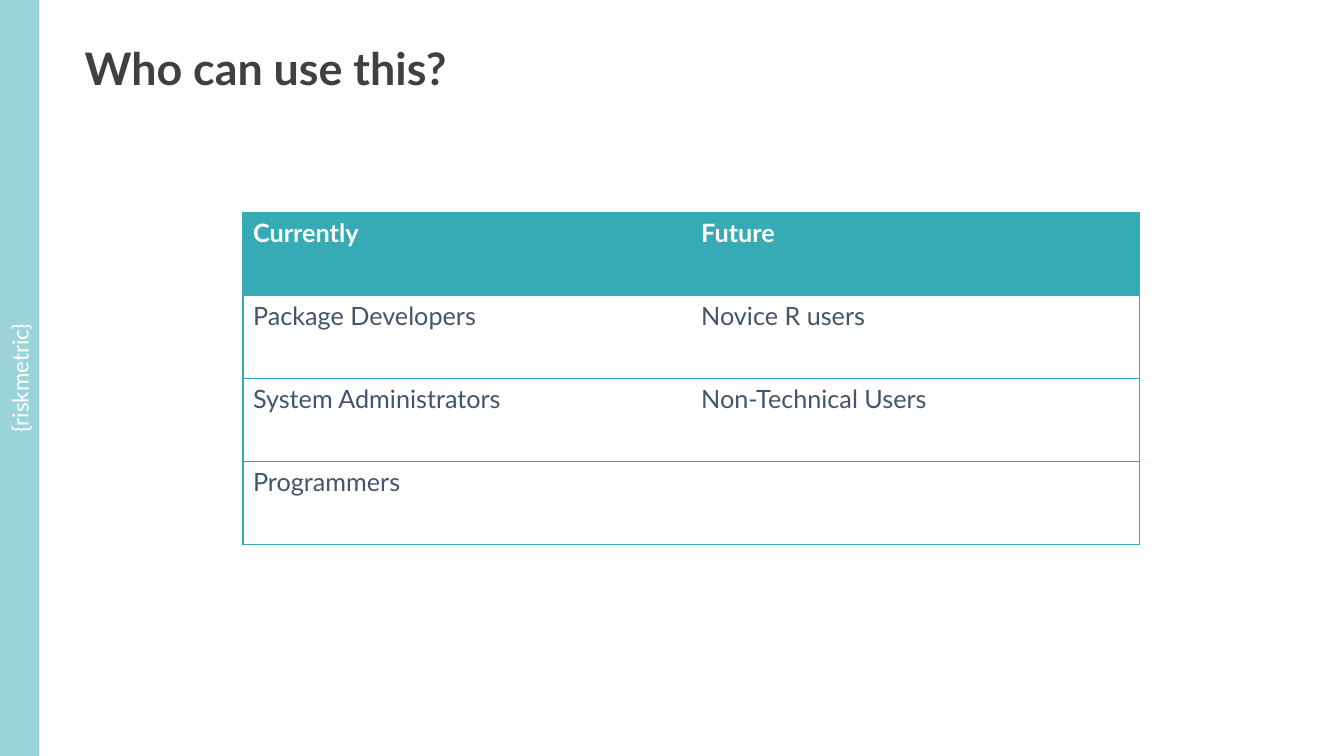
from lxml import etree
from pptx import Presentation
from pptx.dml.color import RGBColor
from pptx.enum.shapes import MSO_SHAPE
from pptx.enum.text import MSO_ANCHOR, PP_ALIGN
from pptx.oxml.ns import qn
from pptx.util import Inches, Pt

TEAL = RGBColor(0x36, 0xAB, 0xB5)
WHITE = RGBColor(0xFF, 0xFF, 0xFF)
CHARCOAL = RGBColor(0x40, 0x40, 0x40)
SLATE = RGBColor(0x44, 0x54, 0x6A)

ROWS = [
    ("Currently", "Future"),
    ("Package Developers", "Novice R users"),
    ("System Administrators", "Non-Technical Users"),
    ("Programmers", ""),
]


def add_run(p, text, size, color, bold=False):
    r = p.add_run()
    r.text = text
    r.font.name = "Lato"
    r.font.size = Pt(size)
    r.font.bold = bold
    r.font.color.rgb = color


def set_borders(cell, sides):
    """Draw 1 pt teal lines on the given sides; the other sides get no line."""
    tc_pr = cell._tc.get_or_add_tcPr()
    for i, side in enumerate("LRTB"):
        ln = etree.Element(qn(f"a:ln{side}"), w=str(Pt(1)))
        if side in sides:
            fill = etree.SubElement(ln, qn("a:solidFill"))
            etree.SubElement(fill, qn("a:srgbClr"), val=str(TEAL))
        else:
            etree.SubElement(ln, qn("a:noFill"))
        tc_pr.insert(i, ln)


prs = Presentation()
prs.slide_width = Inches(13.33)
prs.slide_height = Inches(7.5)
s = prs.slides.add_slide(prs.slide_layouts[6])

# Title
title = s.shapes.add_textbox(Inches(0.74), Inches(0.35), Inches(12.23), Inches(0.64))
title.text_frame.word_wrap = True
add_run(title.text_frame.paragraphs[0], "Who can use this?", 32, CHARCOAL, bold=True)

# Side band with vertical package name
band = s.shapes.add_shape(MSO_SHAPE.RECTANGLE, 0, 0, Inches(0.39), prs.slide_height)
band.shadow.inherit = False
band.line.fill.background()
band.fill.solid()
band.fill.fore_color.rgb = TEAL
band_color = band._element.spPr.find(qn("a:solidFill"))[0]
etree.SubElement(band_color, qn("a:alpha"), val="50000")
tf = band.text_frame
tf.vertical_anchor = MSO_ANCHOR.MIDDLE
tf._txBody.bodyPr.set("vert", "vert270")
tf.paragraphs[0].alignment = PP_ALIGN.CENTER
add_run(tf.paragraphs[0], "{riskmetric}", 16, WHITE)

# Audience table
table = s.shapes.add_table(len(ROWS), 2, Inches(2.41), Inches(2.11),
                           Inches(8.89), Inches(3.29)).table
table.horz_banding = False
for row, texts in enumerate(ROWS):
    header = row == 0
    for col, text in enumerate(texts):
        cell = table.cell(row, col)
        cell.fill.solid()
        cell.fill.fore_color.rgb = TEAL if header else WHITE
        set_borders(cell, "LTB" if col == 0 else "RTB")
        if text:
            add_run(cell.text_frame.paragraphs[0], text, 18,
                    WHITE if header else SLATE, bold=header)

prs.save("out.pptx")
